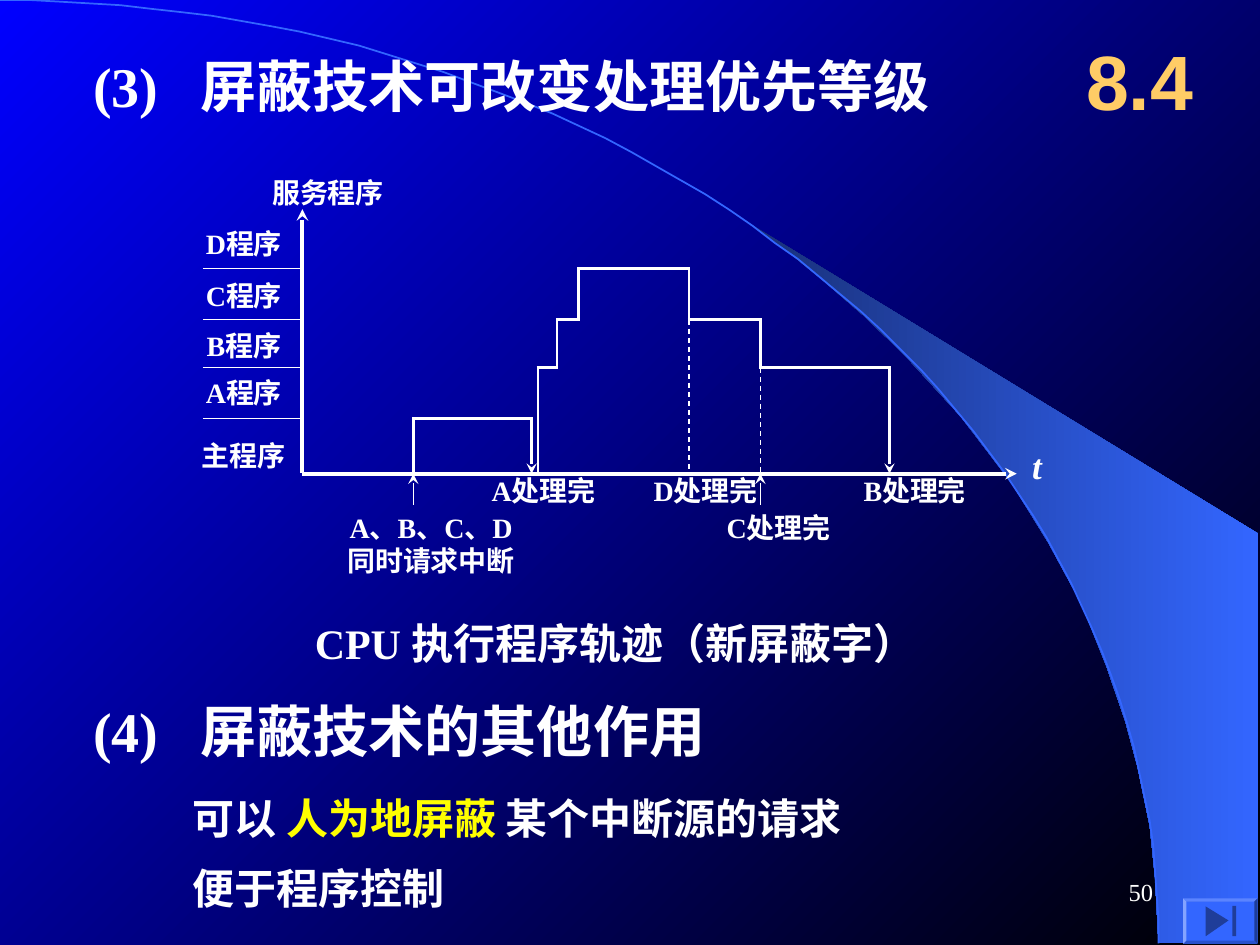
import math

from lxml import etree
from pptx import Presentation
from pptx import util as u
from pptx.dml.color import RGBColor
from pptx.enum import dml, shapes, text
from pptx.oxml.ns import qn

WHITE, YELLOW, GOLD = "FFFFFF", "FFFF00", "FFCC66"
BLUE, NAVY, DARK_BLUE = "3366FF", "182F76", "1F3D99"
LEFT, CENTER, RIGHT = text.PP_ALIGN.LEFT, text.PP_ALIGN.CENTER, text.PP_ALIGN.RIGHT
TOP, MIDDLE = text.MSO_ANCHOR.TOP, text.MSO_ANCHOR.MIDDLE


def color(value):
    return RGBColor.from_string(value)


class SlideBuilder:
    """Holds the style and the current slide; all lengths are points."""

    font_name = "Times New Roman"

    def __init__(self, slide):
        self.slide = slide

    def gradient(self, fill, first, last, angle):
        fill.gradient()
        fill.gradient_angle = angle
        for stop, value in zip(fill.gradient_stops, (first, last)):
            stop.color.rgb = color(value)

    def fill_text(self, shape, paragraphs, size, align=LEFT, anchor=TOP, insets=(0, 0, 0, 0),
                  wrap=True, value=WHITE, bold=True, italic=False, font=None, tab=None):
        """Each paragraph is a string or a list of (string, color) runs."""
        frame = shape.text_frame
        frame.auto_size = text.MSO_AUTO_SIZE.NONE
        frame.word_wrap = wrap
        frame.vertical_anchor = anchor
        (frame.margin_left, frame.margin_top,
         frame.margin_right, frame.margin_bottom) = map(u.Pt, insets)
        for index, content in enumerate(paragraphs):
            paragraph = frame.add_paragraph() if index else frame.paragraphs[0]
            paragraph.alignment = align
            if tab:
                stops = etree.SubElement(paragraph._p.get_or_add_pPr(), qn("a:tabLst"))
                etree.SubElement(stops, qn("a:tab"), pos=str(u.Pt(tab)), algn="l")
            paragraph.font.name = font or self.font_name
            paragraph.font.size = u.Pt(size)
            paragraph.font.bold = bold
            paragraph.font.italic = italic
            if isinstance(content, str):
                paragraph.font.color.rgb = color(value)
                content = [(content, None)]
            for words, run_color in content:
                run = paragraph.add_run()
                run.text = words
                if run_color:
                    run.font.color.rgb = color(run_color)

    def title(self, words, box, **style):
        shape = self.slide.shapes.title
        shape.element.getparent().append(shape.element)  # in front of the backdrop
        shape.left, shape.top, shape.width, shape.height = map(u.Pt, box)
        self.fill_text(shape, [words], **style)

    def textbox(self, paragraphs, box, size, **style):
        shape = self.slide.shapes.add_textbox(*map(u.Pt, box))
        self.fill_text(shape, paragraphs, size, **style)

    def line(self, start, end, width=1.5, head=False, tail=False, dashed=False):
        connector = self.slide.shapes.add_connector(
            shapes.MSO_CONNECTOR.STRAIGHT, *map(u.Pt, start + end))
        connector.line.color.rgb = color(WHITE)
        connector.line.width = u.Pt(width)
        if dashed:
            connector.line.dash_style = dml.MSO_LINE.DASH
        outline = connector.line._get_or_add_ln()
        for wanted, tag in ((head, "a:headEnd"), (tail, "a:tailEnd")):
            if wanted:
                etree.SubElement(outline, qn(tag), type="stealth")
        etree.SubElement(connector._element.spPr, qn("a:effectLst"))

    def outline(self, points, closed=True):
        builder = self.slide.shapes.build_freeform(
            *points[0], scale=float(u.Pt(1)))
        builder.add_line_segments(points[1:], close=closed)
        shape = builder.convert_to_shape()
        shape.shadow.inherit = False
        shape.fill.background()
        shape.line.fill.background()
        return shape

    def solid(self, preset, box, value):
        shape = self.slide.shapes.add_shape(preset, *map(u.Pt, box))
        shape.shadow.inherit = False
        shape.fill.solid()
        shape.fill.fore_color.rgb = color(value)
        shape.line.fill.background()
        return shape


def draw_backdrop(builder):
    builder.gradient(builder.slide.background.fill, "0000FF", "000000", 315)
    inches = [(9.2, 7.48), (9.99, 7.49), (9.99, 4.23), (5.89, 1.73), (6.24, 1.99),
              (6.53, 2.22), (6.85, 2.5), (7.16, 2.8), (7.62, 3.3), (8.03, 3.84),
              (8.32, 4.31), (8.58, 4.79), (8.78, 5.28), (8.93, 5.72), (9.03, 6.09),
              (9.13, 6.56), (9.17, 6.96)]
    beam = builder.outline([(x * 72, y * 72) for x, y in inches])
    builder.gradient(beam.fill, NAVY, BLUE, 0)
    # Quarter ellipse from the top left corner
    angles = [math.pi / 2 * step / 60 for step in range(61)]
    arc = builder.outline([(662.4 * math.sin(a), 539.3 * (1 - math.cos(a))) for a in angles],
                          closed=False)
    arc.line.color.rgb = color(BLUE)
    arc.line.width = u.Pt(1)


def draw_headings(builder):
    heading = dict(size=32, anchor=MIDDLE, wrap=False, tab=61.5)
    builder.title("(3)\t屏蔽技术可改变处理优先等级", (53.3, 31.7, 545, 33.8), **heading)
    builder.textbox(["(4)\t屏蔽技术的其他作用"], (53.3, 400.3, 424.8, 33.8), **heading)
    builder.textbox(["8.4"], (606.2, 12.2, 90, 66.2), 44, align=CENTER, anchor=MIDDLE,
                    insets=(7.2, 3.6, 7.2, 3.6), value=GOLD, font="Arial")
    body = dict(size=24, insets=(0, 3.6, 7.2, 3.6))
    builder.textbox([[("可以 ", WHITE), ("人为地屏蔽 ", YELLOW), ("某个中断源的请求", WHITE)]],
                    (110.2, 449.3, 496.8, 36), **body)
    builder.textbox(["便于程序控制"], (110.2, 489.6, 316.8, 36), **body)


def draw_timeline(builder):
    axis_x, base = 172.8, 270.7
    level = {"A": 239, "B": 210, "C": 182.6, "D": 153.6}
    request, a_end, b_start, c_start, d_start = 236.2, 303.8, 307.4, 318.4, 330.5
    d_end, c_end, b_end = 393.8, 434.5, 508.3

    # Axes and level ticks
    builder.line((axis_x, base), (581, base), 2.25, tail=True)
    builder.line((axis_x, 119.5), (axis_x, 270), 2.25, head=True)
    for y in level.values():
        builder.line((116, y), (172, y), 0.75)

    # Running program at each time
    for start, end, name in ((request, a_end, "A"), (b_start, c_start, "B"),
                             (c_start, d_start, "C"), (d_start, d_end, "D"),
                             (d_end, c_end, "C"), (c_end, b_end, "B")):
        builder.line((start - 0.75, level[name]), (end + 0.75, level[name]))

    # Switches between programs
    for x, upper, lower in ((request, level["A"], base), (b_start, level["B"], base),
                            (c_start, level["C"], level["B"]),
                            (d_start, level["D"], level["C"]),
                            (d_end, level["D"], level["C"]),
                            (c_end, level["C"], level["B"])):
        builder.line((x, upper), (x, lower))
    for x, name in ((a_end, "A"), (b_end, "B")):
        builder.line((x, level[name]), (x, base), tail=True)
    for x, name in ((d_end, "C"), (c_end, "B")):
        builder.line((x, level[name]), (x, base), 0.75, dashed=True)
    for x in (request, c_end):
        builder.line((x, base), (x, 288.7), 0.75, head=True)

    # Labels
    for words, y in (("D程序", 129.6), ("C程序", 159.1), ("B程序", 187.9),
                     ("A程序", 214.6), ("主程序", 250.6)):
        builder.textbox([words], (110.2, y, 58.3, 25.9), 16, align=CENTER)
    for words, x, y, width in (("服务程序", 145.4, 100.1, 84.2),
                               ("A处理完", 272.9, base, 75.6),
                               ("D处理完", 367.2, base, 72),
                               ("B处理完", 481.7, base, 82.1),
                               ("C处理完", 410.4, 291.6, 69.1)):
        builder.textbox([words], (x, y, width, 27), 16, align=CENTER)
    builder.textbox(["A、B、C、D", "同时请求中断"], (189.4, 291.6, 113.8, 40.3), 16,
                    align=CENTER)
    builder.textbox(["t"], (576, 254.2, 33.1, 25.9), 20, align=CENTER, italic=True)
    builder.textbox(["CPU 执行程序轨迹（新屏蔽字）"], (172.8, 349.2, 408.2, 36), 24,
                    insets=(7.2, 3.6, 7.2, 3.6))


def draw_footer(builder):
    button = builder.solid(shapes.MSO_SHAPE.BEVEL, (676.1, 513.4, 42.5, 25.9), BLUE)
    button.adjustments[0] = 0.07
    arrow = builder.outline([(702, 526.3), (689, 535), (689, 517.7)])
    arrow.fill.solid()
    arrow.fill.fore_color.rgb = color(DARK_BLUE)
    builder.solid(shapes.MSO_SHAPE.RECTANGLE, (704.2, 517.7, 2.2, 17.3), DARK_BLUE)
    builder.textbox(["50"], (516.2, 491.8, 149.8, 36), 14, align=RIGHT, anchor=MIDDLE,
                    insets=(7.2, 3.6, 7.2, 3.6), bold=False)


def main():
    presentation = Presentation()
    presentation.slide_width, presentation.slide_height = u.Pt(720), u.Pt(540)
    title_only = presentation.slide_layouts[5]
    builder = SlideBuilder(presentation.slides.add_slide(title_only))
    draw_backdrop(builder)
    draw_headings(builder)
    draw_timeline(builder)
    draw_footer(builder)
    presentation.save("out.pptx")


if __name__ == "__main__":
    main()
